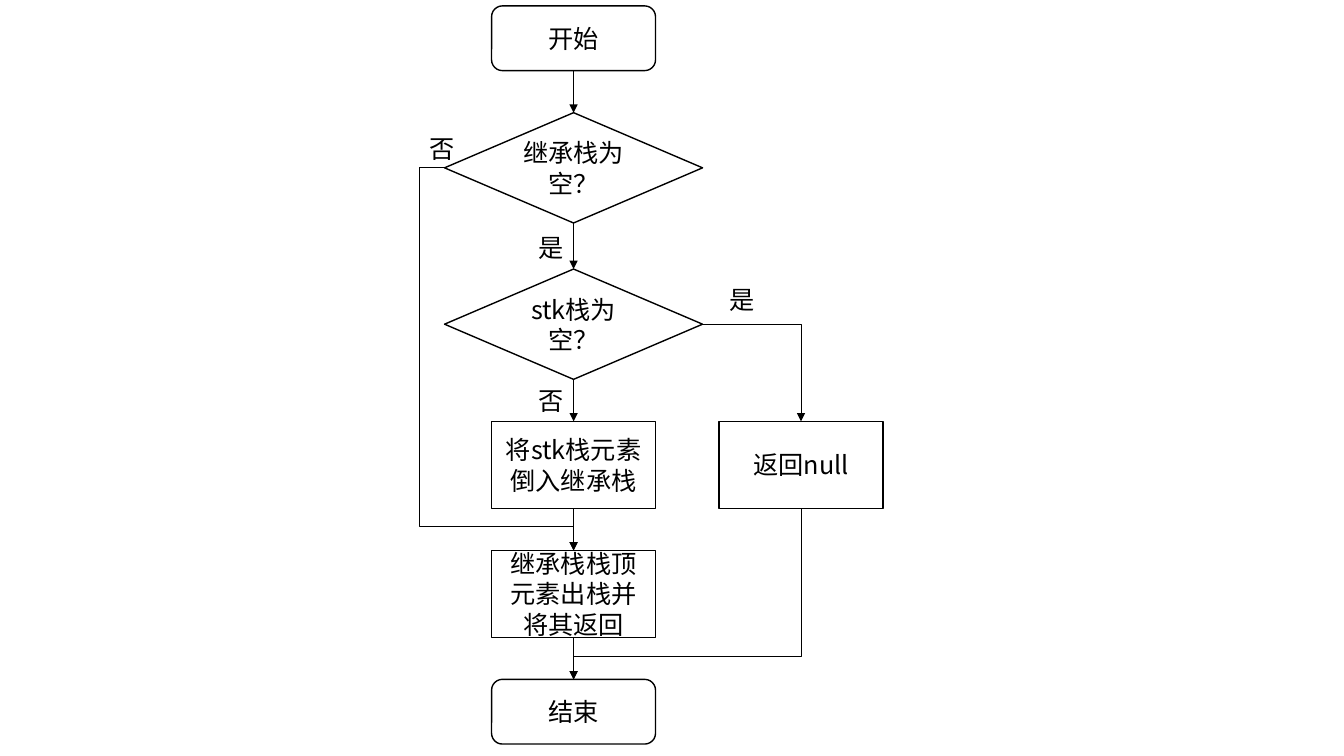
from lxml.etree import SubElement
from pptx import Presentation
from pptx.dml.color import RGBColor
from pptx.enum.shapes import MSO_CONNECTOR as LINK, MSO_SHAPE as SHAPE
from pptx.enum.text import MSO_ANCHOR, MSO_AUTO_SIZE, PP_ALIGN
from pptx.oxml.ns import qn
from pptx.util import Cm, Inches, Pt

FONT = "Noto Sans CJK SC"
BLACK = RGBColor(0, 0, 0)
WHITE = RGBColor(255, 255, 255)

# kind: preset shape, width, height (cm)
KINDS = {
    "terminal": (SHAPE.ROUNDED_RECTANGLE, 4.13, 1.63),
    "decision": (SHAPE.DIAMOND, 6.5, 2.78),
    "process": (SHAPE.RECTANGLE, 4.13, 2.19),
}
# key, kind, wording, gap below (cm)
MAIN_STEPS = [
    ("start", "terminal", "开始", 1.06),
    ("heir_empty", "decision", "继承栈为空？", 1.16),
    ("stk_empty", "decision", "stk栈为空？", 1.06),
    ("pour", "process", "将stk栈元素倒入继承栈", 1.06),
    ("pop", "process", "继承栈栈顶元素出栈并将其返回", 1.06),
    ("end", "terminal", "结束", 0),
]
RETURN_NULL = ("process", "返回null")
# wording, left, top (cm)
BRANCH_LABELS = [
    ("否", 10.57, 3.23),
    ("是", 13.31, 5.74),
    ("否", 13.31, 9.58),
    ("是", 18.14, 7.04),
]
MAIN_AXIS, SIDE_AXIS, FIRST_TOP = 14.45, 20.18, 0.15
TOP, LEFT, BOTTOM, RIGHT = range(4)  # connection sites


def write(frame, wording, align):
    """Put one formatted paragraph into a text frame."""
    paragraph = frame.paragraphs[0]
    paragraph.text = wording
    paragraph.alignment = align
    font = paragraph.font
    font.size, font.name = Pt(18), FONT
    font.color.rgb = BLACK
    SubElement(font._element, qn("a:ea"), typeface=FONT)


def add_step(kind, wording, axis, top):
    """Draw a flowchart step centred on a vertical axis."""
    preset, width, height = KINDS[kind]
    step = slide.shapes.add_shape(
        preset, Cm(axis - width / 2), Cm(top), Cm(width), Cm(height))
    step.shadow.inherit = False
    step.fill.solid()
    step.fill.fore_color.rgb = WHITE
    step.line.color.rgb = BLACK
    step.line.width = Pt(1)
    step.text_frame.word_wrap = True
    step.text_frame.vertical_anchor = MSO_ANCHOR.MIDDLE
    write(step.text_frame, wording, PP_ALIGN.CENTER)
    return step


def add_arrow(source, source_site, target, target_site, preset=None, bends=()):
    """Glue an arrow between two steps, optionally as a given elbow preset."""
    arrow = slide.shapes.add_connector(
        LINK.ELBOW if preset else LINK.STRAIGHT, 0, 0, 0, 0)
    arrow.begin_connect(source, source_site)
    arrow.end_connect(target, target_site)
    arrow.line.color.rgb = BLACK
    arrow.line.width = Pt(0.5)
    properties = arrow._element.spPr
    SubElement(properties.find(qn("a:ln")), qn("a:tailEnd"), type="triangle")
    SubElement(properties, qn("a:effectLst"))
    if preset:
        geometry = properties.find(qn("a:prstGeom"))
        geometry.set("prst", preset)
        guides = geometry.find(qn("a:avLst"))
        for number, bend in enumerate(bends, 1):
            SubElement(guides, qn("a:gd"), name=f"adj{number}",
                       fmla=f"val {round(bend * 100000)}")
    return arrow


def turn_downward(arrow):
    """Rotate a right-to-left elbow by 90 degrees so that it leaves downward."""
    width, height = arrow.width, arrow.height
    arrow.left += (width - height) // 2
    arrow.top += (height - width) // 2
    arrow.width, arrow.height = height, width
    frame = arrow._element.spPr.find(qn("a:xfrm"))
    frame.attrib.pop("flipH", None)
    frame.set("rot", str(90 * 60000))


presentation = Presentation()
presentation.slide_width, presentation.slide_height = Inches(13.33), Inches(7.5)
slide = presentation.slides.add_slide(presentation.slide_layouts[6])

steps = {}
top = FIRST_TOP
for key, kind, wording, gap in MAIN_STEPS:
    steps[key] = add_step(kind, wording, MAIN_AXIS, top)
    if key == "pour":
        return_null = add_step(*RETURN_NULL, SIDE_AXIS, top)
    top += KINDS[kind][2] + gap

chain = list(steps.values())
for upper, lower in zip(chain, chain[1:]):
    add_arrow(upper, BOTTOM, lower, TOP)

add_arrow(steps["heir_empty"], LEFT, steps["pop"], TOP,
          "bentConnector4", (-0.195, 0.936))
add_arrow(steps["stk_empty"], RIGHT, return_null, TOP, "bentConnector2")
turn_downward(add_arrow(return_null, BOTTOM, steps["end"], TOP,
                        "bentConnector3", (0.866,)))

for wording, left, top in BRANCH_LABELS:
    label = slide.shapes.add_textbox(Cm(left), Cm(top), Cm(1.14), Cm(1.02))
    label.text_frame.word_wrap = False
    label.text_frame.auto_size = MSO_AUTO_SIZE.SHAPE_TO_FIT_TEXT
    write(label.text_frame, wording, PP_ALIGN.LEFT)

presentation.save("out.pptx")
